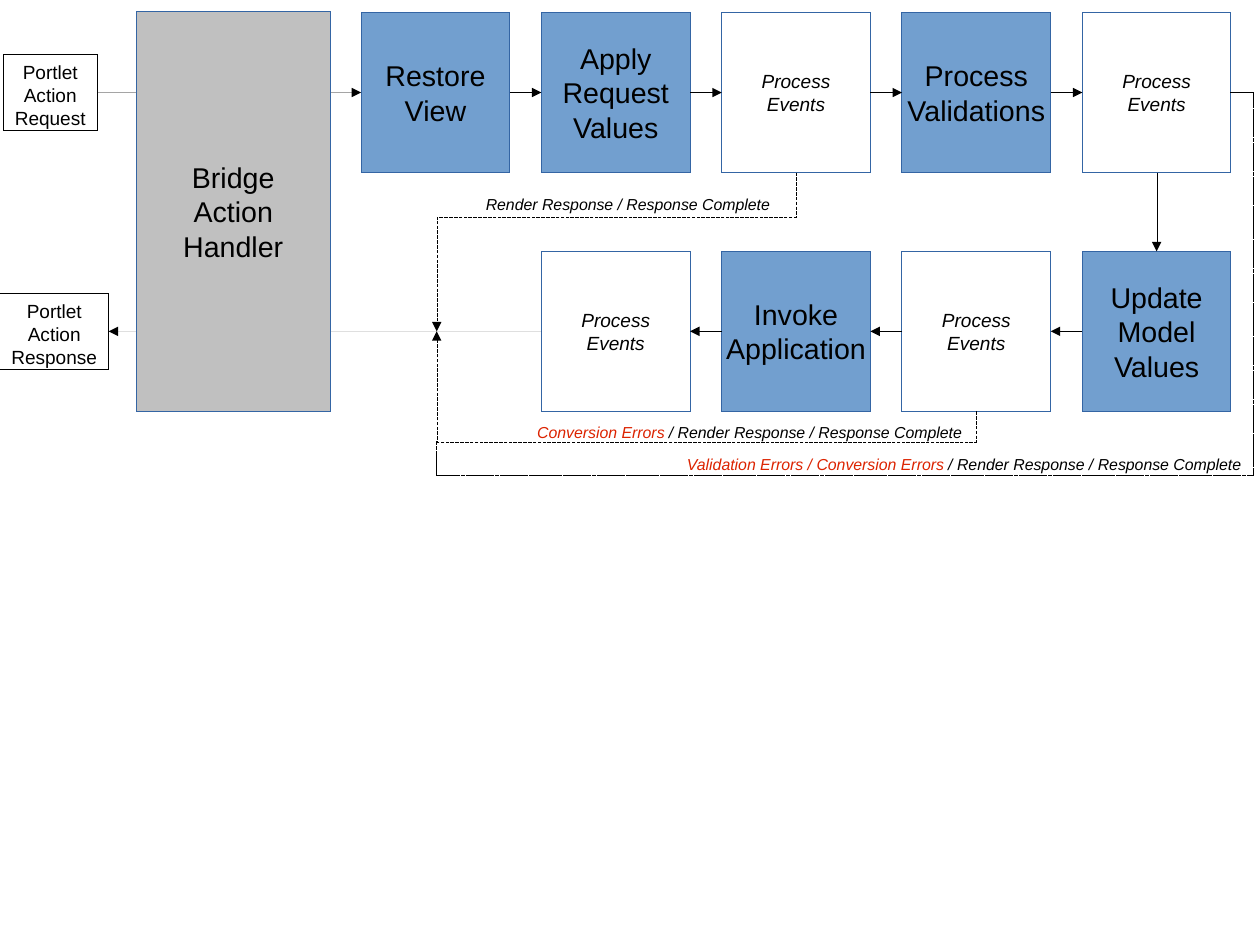
from lxml import etree
from pptx import Presentation
from pptx import util as u
from pptx.dml.color import RGBColor
from pptx.enum import dml, shapes, text
from pptx.oxml.ns import qn

BLACK = RGBColor(0x00, 0x00, 0x00)
WHITE = RGBColor(0xFF, 0xFF, 0xFF)
BLUE = RGBColor(0x72, 0x9F, 0xCF)
NAVY = RGBColor(0x34, 0x65, 0xA4)
GRAY = RGBColor(0xC0, 0xC0, 0xC0)
RED = RGBColor(0xDC, 0x23, 0x00)

# Grid of phases, in percent of the slide's width and height
COLUMN_START, COLUMN_STEP, BOX_WIDTH = 28.66, 14.31, 11.8
ROW_START, ROW_STEP, BOX_HEIGHT = 1.33, 25.27, 16.93
TOP, LEFT, BOTTOM, RIGHT = range(4)


def column(number, share=0):
    """Percent across: a share of the box in the given column."""
    return COLUMN_START + number * COLUMN_STEP + share * BOX_WIDTH


def row(number, share=0):
    """Percent down: a share of the box in the given row."""
    return ROW_START + number * ROW_STEP + share * BOX_HEIGHT


class FlowSlide:
    font = "Arial"
    hairline = u.Pt(0.01)

    def __init__(self, deck):
        self.width, self.height = deck.slide_width, deck.slide_height
        self.page = deck.slides.add_slide(deck.slide_layouts[6])

    def x(self, percent):
        return round(self.width * percent / 100)

    def y(self, percent):
        return round(self.height * percent / 100)

    def frame(self, left, top, width, height):
        return self.x(left), self.y(top), self.x(width), self.y(height)

    def add_span(self, para, words, size, color=BLACK, italic=False):
        span = para.add_run()
        span.text = words
        span.font.name, span.font.size = self.font, u.Pt(size)
        span.font.color.rgb, span.font.italic = color, italic

    def box(self, place, lines, fill=None, line=NAVY, size=18, italic=False):
        box = self.page.shapes.add_shape(
            shapes.MSO_SHAPE.RECTANGLE, *self.frame(*place))
        box.shadow.inherit = False
        if fill is None:
            box.fill.background()
        else:
            box.fill.solid()
            box.fill.fore_color.rgb = fill
        box.line.color.rgb, box.line.width = line, self.hairline
        body = box.text_frame
        body.word_wrap = False
        body.vertical_anchor = text.MSO_ANCHOR.MIDDLE
        for index, words in enumerate(lines.split("\n")):
            para = body.add_paragraph() if index else body.paragraphs[0]
            para.alignment = text.PP_ALIGN.CENTER
            self.add_span(para, words, size, italic=italic)
        return box

    def phase(self, across, down, lines):
        place = column(across), row(down), BOX_WIDTH, BOX_HEIGHT
        if lines == EVENTS:
            return self.box(place, lines, WHITE, size=12, italic=True)
        return self.box(place, lines, BLUE)

    def portlet(self, left, top, width, lines):
        box = self.box((left, top, width, 7.98), lines, line=BLACK, size=12)
        box.text_frame.vertical_anchor = text.MSO_ANCHOR.TOP
        box.text_frame.auto_size = text.MSO_AUTO_SIZE.SHAPE_TO_FIT_TEXT
        return box

    def label(self, left, top, width, *spans):
        box = self.page.shapes.add_textbox(*self.frame(left, top, width, 3.02))
        box.text_frame.word_wrap = False
        box.text_frame.auto_size = text.MSO_AUTO_SIZE.SHAPE_TO_FIT_TEXT
        for words, color in spans:
            self.add_span(box.text_frame.paragraphs[0], words, 10, color, True)

    def connector(self, kind, ends, arrow=True, dashed=False):
        link = self.page.shapes.add_connector(kind, *ends)
        link.line.color.rgb, link.line.width = BLACK, self.hairline
        if dashed:
            link.line.dash_style = dml.MSO_LINE.SQUARE_DOT
        properties = link._element.spPr
        if arrow:
            etree.SubElement(properties.find(qn("a:ln")), qn("a:tailEnd"),
                             type="triangle")
        etree.SubElement(properties, qn("a:effectLst"))
        return link

    def arrow(self, start, start_side, end, end_side):
        link = self.connector(shapes.MSO_CONNECTOR.STRAIGHT, (0, 0, 0, 0))
        link.begin_connect(start, start_side)
        link.end_connect(end, end_side)

    def elbow(self, start, end, bend, vertical=True, arrow=True):
        """Dashed elbow; bend is the percent of the way at which it turns."""
        x1, y1, x2, y2 = (self.x(start[0]), self.y(start[1]),
                          self.x(end[0]), self.y(end[1]))
        turn = 0
        if vertical:
            # Lay the route flat about its centre, then rotate it
            turn = 90 if y2 > y1 else 270
            half_x = abs(y2 - y1) // 2
            half_y = (x1 - x2 if turn == 90 else x2 - x1) // 2
            middle_x, middle_y = (x1 + x2) // 2, (y1 + y2) // 2
            x1, x2 = middle_x - half_x, middle_x + half_x
            y1, y2 = middle_y - half_y, middle_y + half_y
        link = self.connector(shapes.MSO_CONNECTOR.ELBOW, (x1, y1, x2, y2),
                              arrow, dashed=True)
        properties = link._element.spPr
        if turn:
            properties.find(qn("a:xfrm")).set("rot", str(turn * 60000))
        geometry = properties.find(qn("a:prstGeom"))
        guides = geometry.find(qn("a:avLst"))
        if guides is None:
            guides = etree.SubElement(geometry, qn("a:avLst"))
        etree.SubElement(guides, qn("a:gd"), name="adj1",
                         fmla=f"val {round(bend * 1000)}")


EVENTS = "Process\nEvents"
UPPER = ["Restore\nView", "Apply\nRequest\nValues", EVENTS,
         "Process\nValidations", EVENTS]
LOWER = ["Update\nModel\nValues", EVENTS, "Invoke\nApplication", EVENTS]
COMPLETE = "Render Response / Response Complete"


def main():
    deck = Presentation()
    deck.slide_width, deck.slide_height = u.Cm(28), u.Cm(21)
    flow = FlowSlide(deck)

    # Portlet ends and the phases between them
    request = flow.portlet(0.27, 5.8, 7.44, "Portlet\nAction\nRequest")
    response = flow.portlet(0, 31.08, 8.62, "Portlet\nAction\nResponse")
    upper = [flow.phase(i, 0, lines) for i, lines in enumerate(UPPER)]
    lower = [flow.phase(4 - i, 1, lines) for i, lines in enumerate(LOWER)]

    # Straight arrows along both rows
    forward, backward = [request] + upper, lower + [response]
    for start, end in zip(forward, forward[1:]):
        flow.arrow(start, RIGHT, end, LEFT)
    flow.arrow(upper[-1], BOTTOM, lower[0], TOP)
    for start, end in zip(backward, backward[1:]):
        flow.arrow(start, LEFT, end, RIGHT)

    # The handler covers the middle of the two long arrows
    flow.box((10.8, 1.21, 15.43, 42.32), "Bridge\nAction\nHandler", GRAY)

    # Early exits to the response
    junction = 34.66, row(1, 0.5)
    exit_bottom = 50.3
    flow.elbow((column(2, 0.5), row(0, 1)), junction, 28.2)
    flow.elbow((column(3, 0.5), row(1, 1)), junction, -38.4)
    flow.elbow((column(4, 1), row(0, 0.5)), (34.6, exit_bottom), -2.8,
               vertical=False, arrow=False)
    across = flow.x(junction[0])
    flow.connector(shapes.MSO_CONNECTOR.STRAIGHT,
                   (across, flow.y(46.7), across, flow.y(exit_bottom)),
                   arrow=False, dashed=True)

    # Exit labels
    flow.label(37.66, 19.95, 24.41, (COMPLETE, BLACK))
    flow.label(41.74, 44.14, 35.66,
               ("Conversion Errors", RED), (" / " + COMPLETE, BLACK))
    flow.label(53.63, 47.52, 46.01,
               ("Validation Errors / Conversion Errors", RED),
               (" / " + COMPLETE, BLACK))

    deck.save("out.pptx")


if __name__ == "__main__":
    main()
